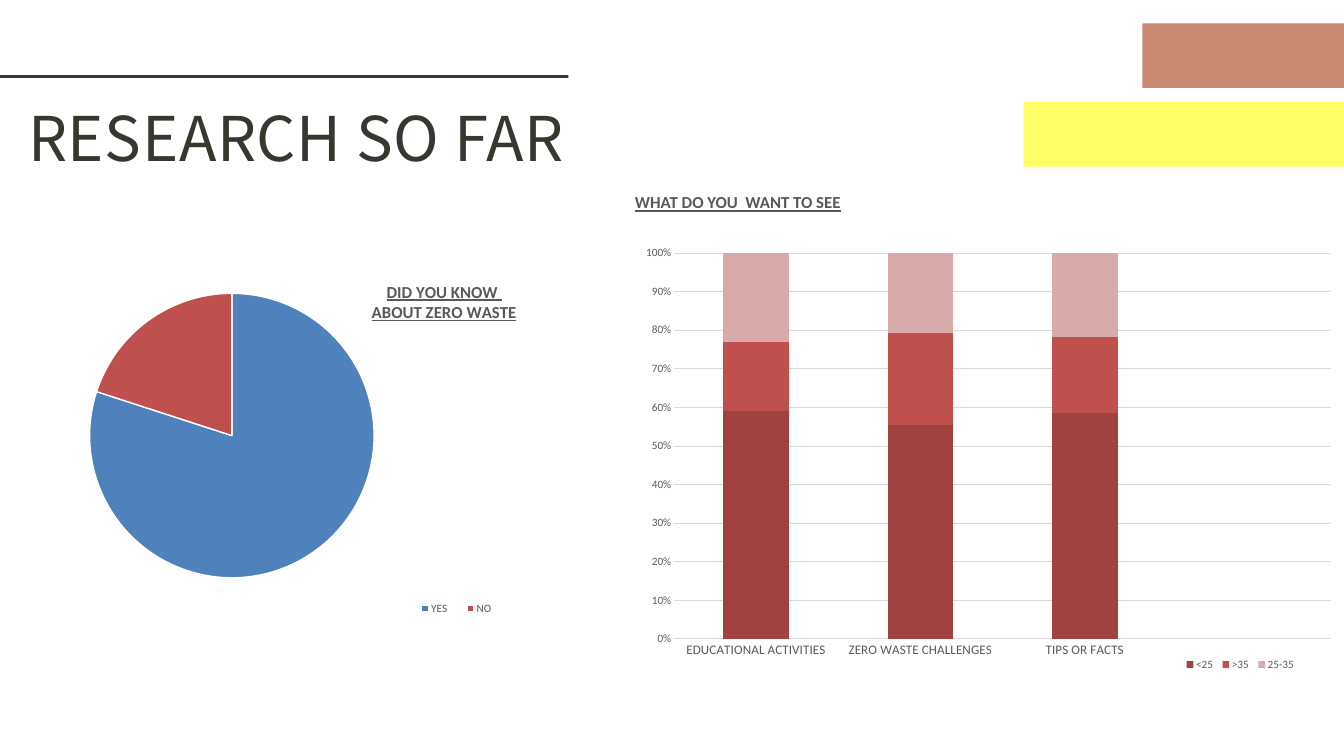
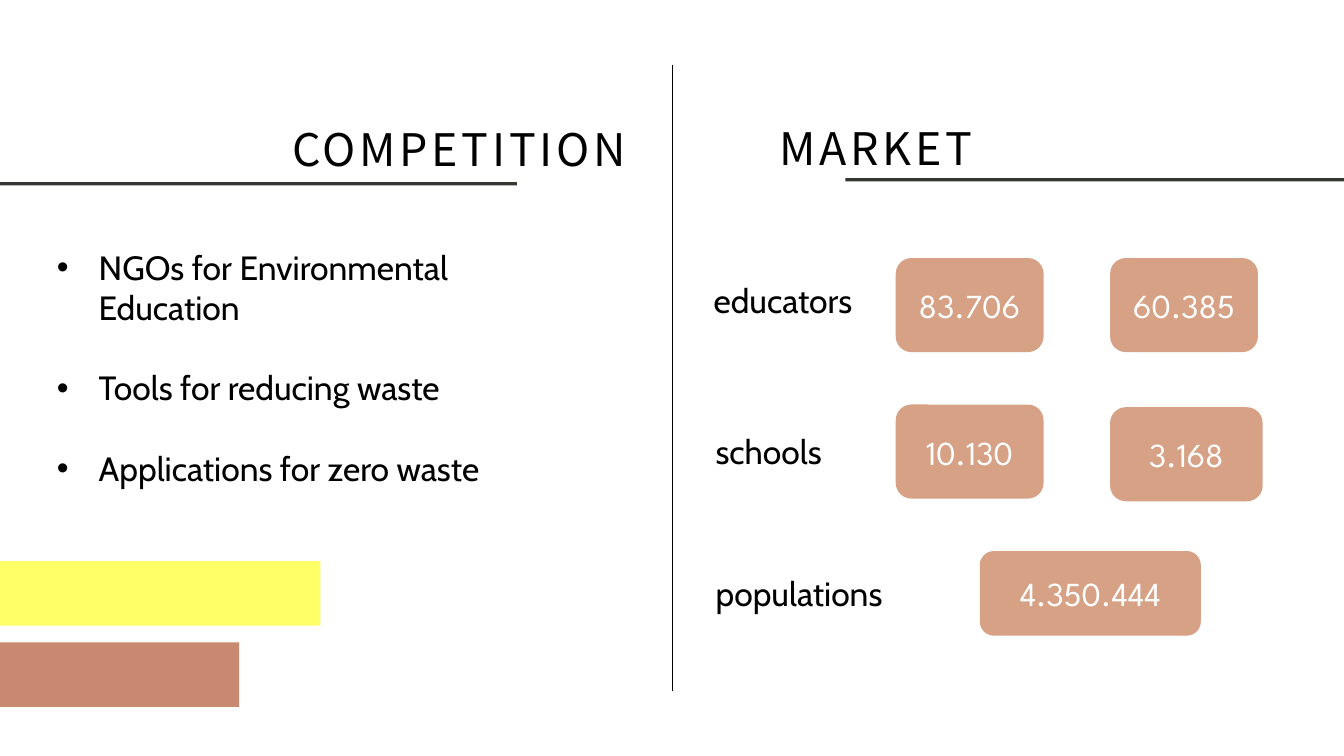
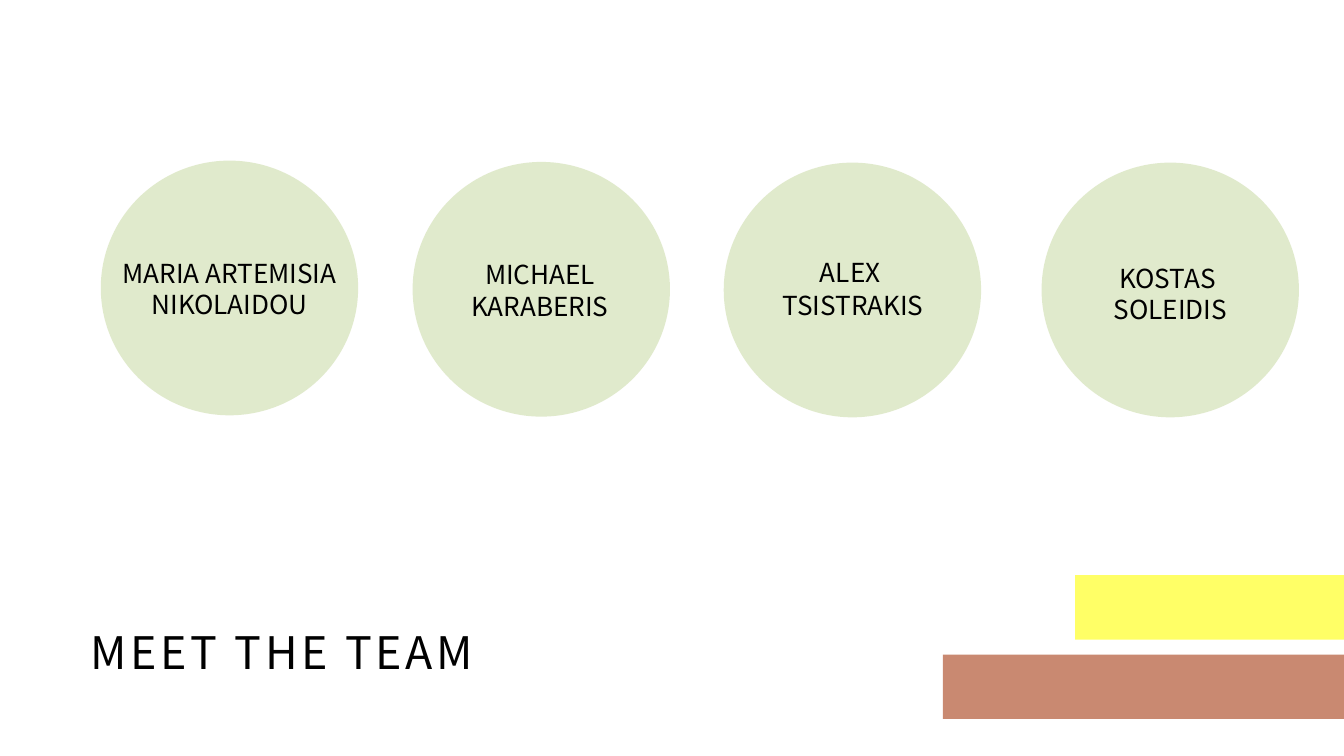
from lxml import etree
from pptx import Presentation
from pptx.chart.data import CategoryChartData
from pptx.dml.color import RGBColor
from pptx.enum.chart import XL_CHART_TYPE, XL_LEGEND_POSITION, XL_TICK_MARK
from pptx.enum.shapes import MSO_CONNECTOR, MSO_SHAPE
from pptx.enum.text import MSO_ANCHOR, PP_ALIGN
from pptx.oxml.ns import qn
from pptx.util import Inches, Pt

RECT, ROUND, OVAL = MSO_SHAPE.RECTANGLE, MSO_SHAPE.ROUNDED_RECTANGLE, MSO_SHAPE.OVAL
LEFT, CENTER, JUST = PP_ALIGN.LEFT, PP_ALIGN.CENTER, PP_ALIGN.JUSTIFY
MIDDLE = MSO_ANCHOR.MIDDLE
PIE, STACK = XL_CHART_TYPE.PIE, XL_CHART_TYPE.COLUMN_STACKED_100
BOTTOM, NO_TICK = XL_LEGEND_POSITION.BOTTOM, XL_TICK_MARK.NONE
STRAIGHT = MSO_CONNECTOR.STRAIGHT

COLORS = {
    "ink": "35382F", "black": "000000", "white": "FFFFFF", "gray": "595959",
    "grid": "D9D9D9", "clay": "C98971", "yellow": "FFFF66", "tan": "D6A184",
    "leaf": "C3D69B", "blue": "4F81BD", "red": "C0504D", "dark": "9F4240",
    "pink": "D9AAAA",
}
HEAD, BODY, DATA, NUMBER = "Noto Sans CJK TC", "Cabin", "Calibri", "League Spartan"
BAND = 0.96  # height of the coloured bands


def rgb(name):
    return RGBColor.from_string(COLORS[name])


def set_font(font, face, size, color, bold=None, under=None):
    font.name, font.size = face, Pt(size)
    font.color.rgb = rgb(color)
    font.bold, font.underline = bold, under


def add_block(slide, kind, box, color, alpha=None):
    shape = slide.shapes.add_shape(kind, *map(Inches, box))
    shape.shadow.inherit = False
    shape.fill.solid()
    shape.fill.fore_color.rgb = rgb(color)
    shape.line.fill.background()
    if alpha:
        tint = shape.fill._xPr.find(".//" + qn("a:srgbClr"))
        etree.SubElement(tint, qn("a:alpha")).set("val", str(alpha * 1000))
    return shape


def add_text(slide, box, lines, face, size, color="black", align=LEFT, inset=True,
             lead=None, track=None, bullet=False, gap=0, bold=None, under=None):
    frame = slide.shapes.add_textbox(*map(Inches, box)).text_frame
    frame.word_wrap = True
    if not inset:
        frame.margin_left = frame.margin_right = 0
        frame.margin_top = frame.margin_bottom = 0
    frame.text = "\n".join(lines)
    for i, para in enumerate(frame.paragraphs):
        para.alignment = align
        if lead:
            para.line_spacing = Pt(lead)
        if i and gap:
            para.space_before = Pt(gap)
        props = para._p.get_or_add_pPr()
        if bullet:
            props.set("marL", str(Inches(0.62)))
            props.set("indent", str(-Inches(0.62)))
            etree.SubElement(props, qn("a:buFont")).set("typeface", "Arial")
            etree.SubElement(props, qn("a:buChar")).set("char", "•")
        set_font(para.font, face, size, color, bold, under)
        if track:
            props.find(qn("a:defRPr")).set("spc", str(int(track * 100)))


def add_title(slide, box, text):
    add_text(slide, box, [text], HEAD, 48, align=CENTER, inset=False, lead=50.4, track=4)


def add_badge(slide, box, text):
    frame = add_block(slide, ROUND, box, "tan").text_frame
    frame.margin_left = frame.margin_right = Inches(0.1)
    frame.margin_top = frame.margin_bottom = Inches(0.1)
    frame.vertical_anchor = MIDDLE
    frame.text = text
    frame.paragraphs[0].alignment = CENTER
    set_font(frame.paragraphs[0].font, NUMBER, 36, "white")


def set_place(part, index, inner=False, **spots):
    """Fix a chart part at fractions of the chart's size."""
    old = part.find(qn("c:layout"))
    if old is not None:
        part.remove(old)
    layout = etree.Element(qn("c:layout"))
    part.insert(index, layout)
    manual = etree.SubElement(layout, qn("c:manualLayout"))
    items = [("layoutTarget", "inner")] if inner else []
    items += [("xMode", "edge"), ("yMode", "edge"), *spots.items()]
    for tag, val in items:
        etree.SubElement(manual, qn("c:" + tag)).set("val", str(val))


def add_graph(slide, kind, box, cats, series, plot, key):
    data = CategoryChartData()
    data.categories = cats
    for name, vals in series:
        data.add_series(name, vals)
    chart = slide.shapes.add_chart(kind, *map(Inches, box), data).chart
    chart.has_title = False
    set_font(chart.font, DATA, 10, "black")
    chart.has_legend = True
    chart.legend.position = BOTTOM
    chart.legend.include_in_layout = False
    set_font(chart.legend.font, DATA, 12, "gray")
    set_place(chart.legend._element, 1, **dict(zip("xywh", key)))
    area = chart._chartSpace.find(".//" + qn("c:plotArea"))
    set_place(area, 0, inner=True, **dict(zip("xywh", plot)))
    return chart


def add_pie(slide):
    chart = add_graph(slide, PIE, (-0.92, 3.99, 8.92, 5.36), ["YES", "NO"],
                      [("Series 1", (80, 20))],
                      (0.25, 0.07, 0.48, 0.79), (0.78, 0.91, 0.17, 0.07))
    chart.plots[0].vary_by_categories = True
    for i, color in enumerate(("blue", "red")):
        look = chart.plots[0].series[0].points[i].format
        look.fill.solid()
        look.fill.fore_color.rgb = rgb(color)
        look.line.color.rgb = rgb("white")
        look.line.width = Pt(1.5)
    chart.has_title = True
    frame = chart.chart_title.text_frame
    frame.text = "DID YOU KNOW \nABOUT ZERO WASTE"
    for para in frame.paragraphs:
        set_font(para.font, DATA, 18, "gray", True, True)
    set_place(chart.chart_title._element, 1, x=0.72, y=0.03)


def add_stack(slide):
    # The empty last category keeps its slot on the axis
    cats = ["EDUCATIONAL ACTIVITIES", "ZERO WASTE CHALLENGES", "TIPS OR FACTS", ""]
    series = [("<25", (59, 56, 59, None)), (">35", (18, 24, 20, None)),
              ("25-35", (23, 21, 22, None))]
    chart = add_graph(slide, STACK, (9.32, 3.21, 11.79, 6.92), cats, series,
                      (0.06, 0.08, 0.83, 0.83), (0.7, 0.94, 0.15, 0.05))
    plot = chart.plots[0]
    plot.vary_by_categories = False
    plot.gap_width, plot.overlap = 150, 100
    for item, color in zip(plot.series, ("dark", "red", "pink")):
        item.format.fill.solid()
        item.format.fill.fore_color.rgb = rgb(color)
    base, scale = chart.category_axis, chart.value_axis
    for axis, size in ((base, 14), (scale, 12)):
        axis.major_tick_mark = axis.minor_tick_mark = NO_TICK
        set_font(axis.tick_labels.font, DATA, size, "gray")
    scale.has_major_gridlines = True
    for line in (base.format.line, scale.major_gridlines.format.line):
        line.color.rgb = rgb("grid")
        line.width = Pt(0.75)
    scale.format.line.fill.background()
    scale.tick_labels.number_format = "0%"
    scale.tick_labels.number_format_is_linked = False


def build_research(slide):
    add_text(slide, (0.42, 1.38, 8.67, 1.13), ["RESEARCH SO FAR"], HEAD, 66, "ink",
             inset=False, lead=86.4, track=0.7)
    add_block(slide, RECT, (0, 1.12, 8.46, 0.04), "ink")
    add_block(slide, RECT, (17, 0.35, 4.77, BAND), "clay")
    add_pie(slide)
    add_stack(slide)
    add_block(slide, RECT, (15.23, 1.52, 4.77, BAND), "yellow")
    add_text(slide, (9.35, 2.81, 11.34, 0.4), ["WHAT DO YOU  WANT TO SEE"], DATA, 18,
             "gray", JUST, bold=True, under=True)


def build_market(slide):
    # Headings, rules and bands
    add_title(slide, (1.5, 1.91, 10.67, 0.7), "COMPETITION")
    add_title(slide, (7.7, 1.9, 10.67, 0.7), "MARKET")
    add_block(slide, RECT, (0, 9.56, 3.56, BAND), "clay")
    add_block(slide, RECT, (0, 8.35, 4.77, BAND), "yellow")
    add_block(slide, RECT, (-0.43, 2.71, 8.12, 0.05), "ink")
    add_block(slide, RECT, (12.58, 2.65, 8.12, 0.05), "ink")
    split = slide.shapes.add_connector(STRAIGHT, *map(Inches, (10, 0.96, 10, 10.29)))
    split.line.color.rgb = rgb("black")
    split.line.width = Pt(0.75)
    etree.SubElement(split._element.spPr, qn("a:effectLst"))

    # Competitors
    add_text(slide, (0.75, 3.62, 6.67, 3.74),
             ["NGOs for Environmental Education", "Tools for reducing waste",
              "Applications for zero waste"], BODY, 36, bullet=True, gap=43)

    # Market sizes
    for left, top, word in ((10.52, 4.12, "educators"), (10.55, 6.37, "schools"),
                            (10.55, 8.48, "populations")):
        add_text(slide, (left, top, 2.72, 0.71), [word], BODY, 36)
    for box, count in (((13.33, 3.84, 2.2, 1.4), "83.706"),
                       ((16.52, 3.84, 2.2, 1.4), "60.385"),
                       ((13.33, 6.02, 2.2, 1.4), "10.130"),
                       ((16.52, 6.06, 2.27, 1.4), "3.168"),
                       ((14.58, 8.2, 3.29, 1.26), "4.350.444")):
        add_badge(slide, box, count)


def build_team(slide):
    # Disc left and top, name box, name, line spacing
    team = [
        (1.5, 2.39, (1.59, 3.83, 3.65, 0.94), ["MARIA ARTEMISIA NIKOLAIDOU"], None),
        (6.14, 2.41, (6.22, 3.85, 3.63, 0.94), ["MICHAEL KARABERIS"], None),
        (10.77, 2.42, (11.13, 3.8, 3.13, 0.96), ["ALEX ", "TSISTRAKIS"], 35),
        (15.5, 2.42, (15.85, 3.9, 3.13, 0.94), ["KOSTAS ", "SOLEIDIS"], None),
    ]
    for left, top, box, name, lead in team:
        add_block(slide, OVAL, (left, top, 3.83, 3.79), "leaf", alpha=50)
        add_text(slide, box, name, HEAD, 28, align=CENTER, inset=False, lead=lead)
    add_title(slide, (0.54, 9.39, 7.52, 0.7), "MEET THE TEAM ")
    add_block(slide, RECT, (16, 8.56, 4.77, BAND), "yellow")
    add_block(slide, RECT, (14.03, 9.74, 6.05, BAND), "clay")


def main():
    deck = Presentation()
    deck.slide_width, deck.slide_height = Inches(20), Inches(11.25)
    for build in (build_research, build_market, build_team):
        build(deck.slides.add_slide(deck.slide_layouts[6]))
    deck.save("out.pptx")


if __name__ == "__main__":
    main()
